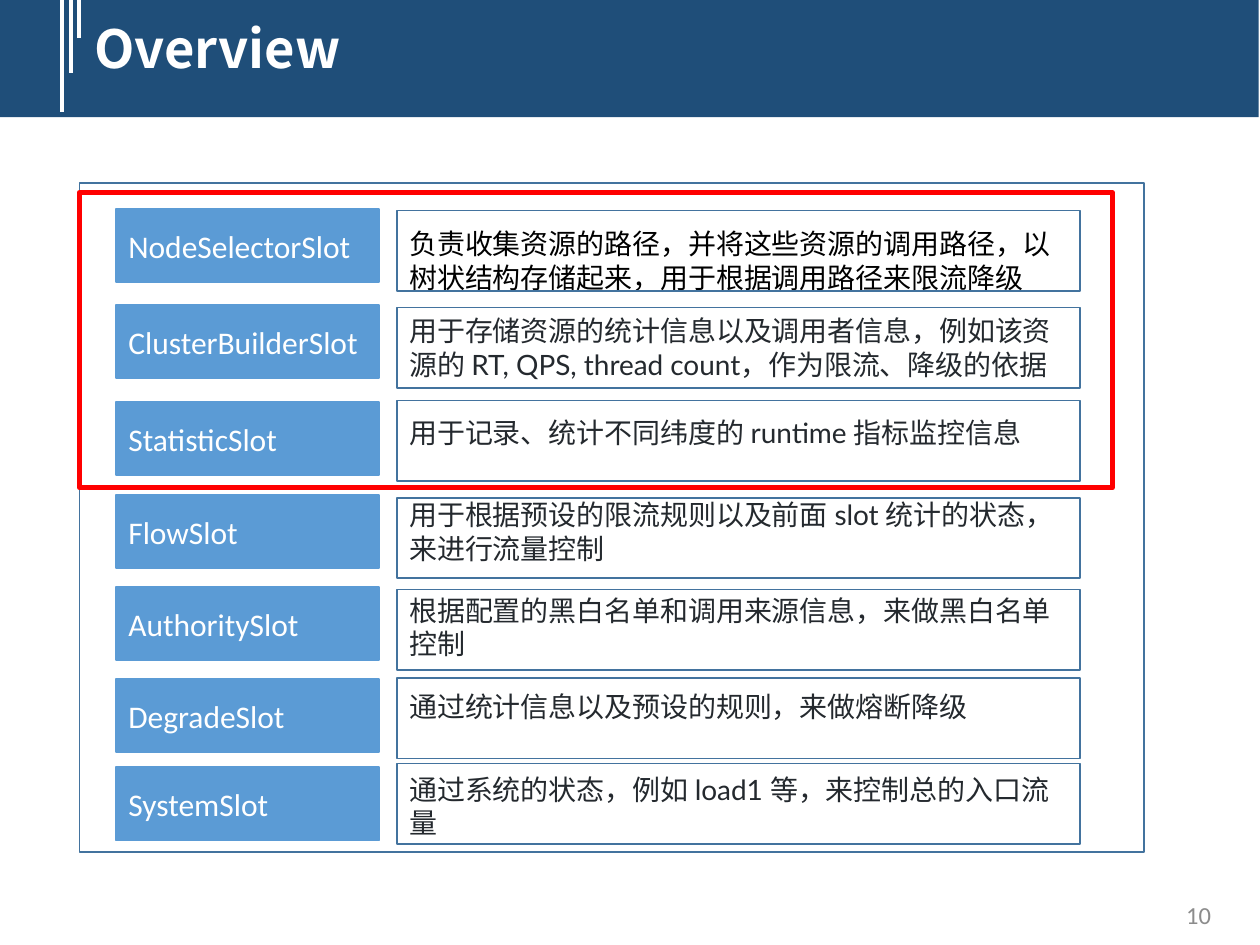
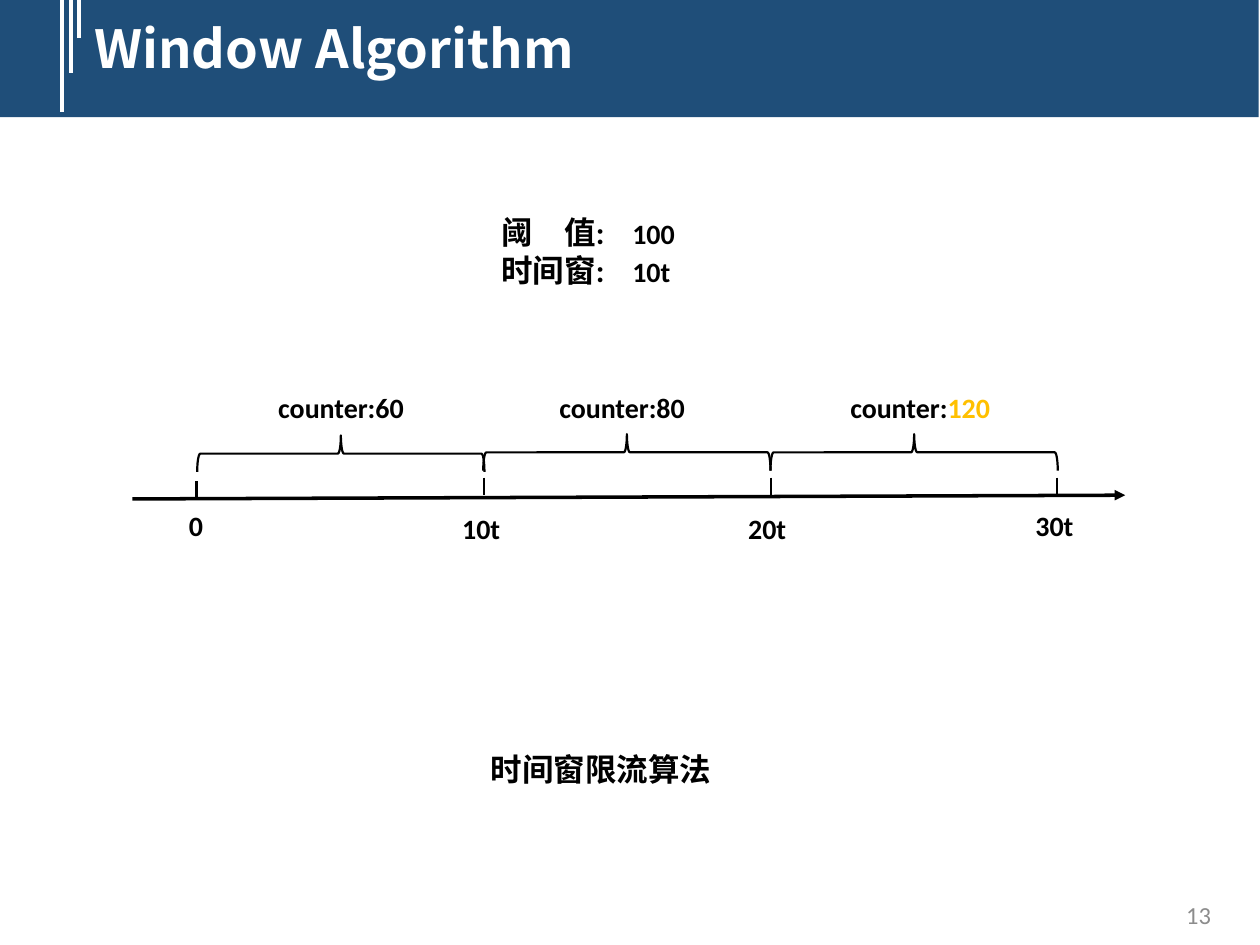
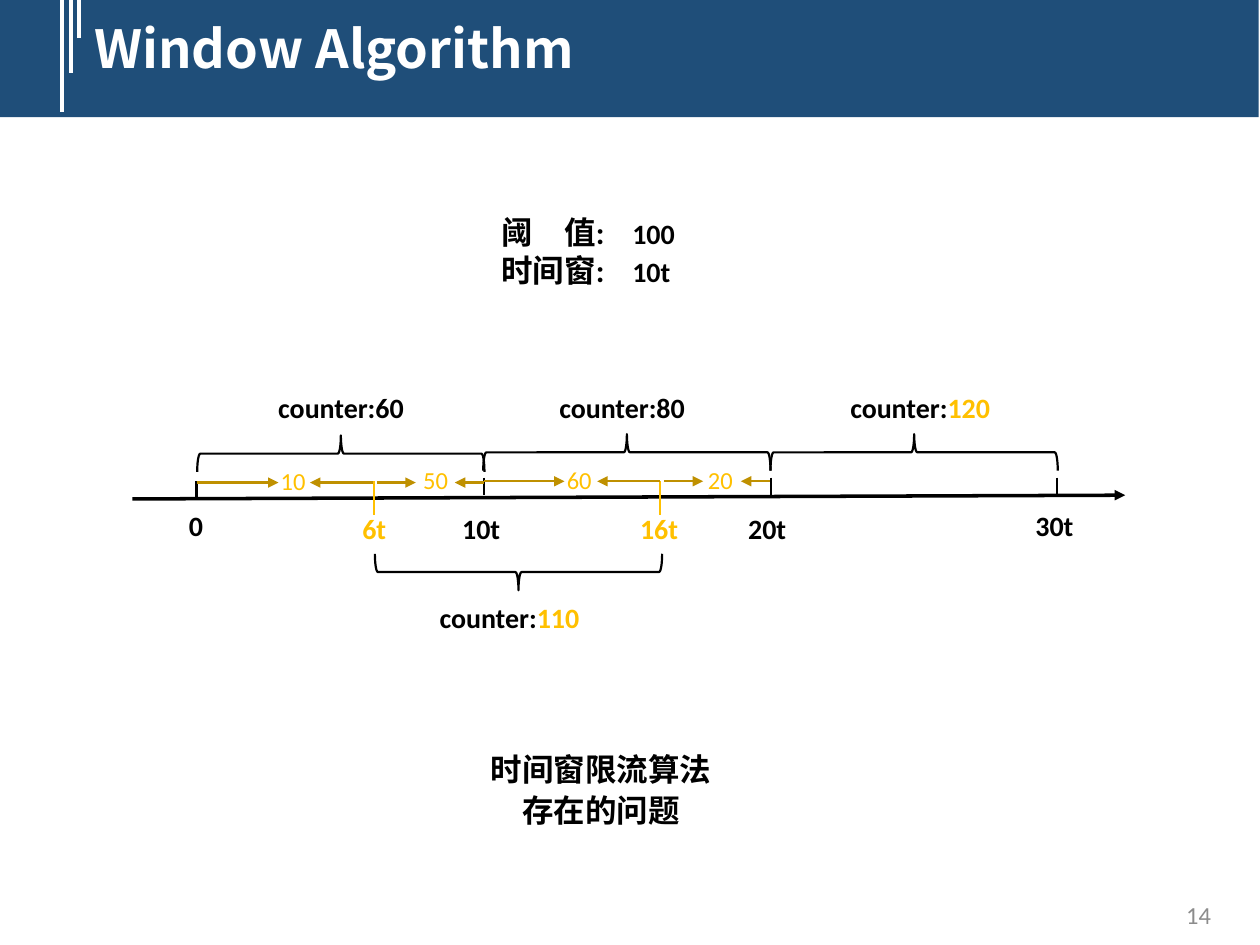
import dataclasses
import typing

import lxml.etree
import pptx
import pptx.dml.color
import pptx.enum.shapes
import pptx.enum.text
import pptx.oxml.ns
import pptx.util

EMU_PER_PX = 9144  # 100 px to the inch

Align = pptx.enum.text.PP_ALIGN
Anchor = pptx.enum.text.MSO_ANCHOR
Geometry = pptx.enum.shapes.MSO_SHAPE


@dataclasses.dataclass(frozen=True)
class Style:
    size: int
    color: str = "000000"
    bold: bool = False
    font: str = "Calibri"


@dataclasses.dataclass(frozen=True)
class Theme:
    east_asian: str = "Noto Sans CJK SC"
    navy: str = "1F4E79"
    blue: str = "5B9BD5"
    frame: str = "43739E"
    white: str = "FFFFFF"
    black: str = "000000"
    red: str = "FF0000"
    gold: str = "FFC000"
    dark_gold: str = "BF9000"
    thin: float = 1.25
    title: Style = Style(30, "FFFFFF", True, "Noto Sans CJK SC")
    number: Style = Style(14, "8C8C8C")
    slot: Style = Style(18, "FFFFFF")
    duty: Style = Style(16, "24292E", False, "Lato")
    first_duty: Style = Style(16)
    caption: Style = Style(18, bold=True)
    label: Style = Style(16, bold=True)
    alert: Style = Style(16, "FFC000", True)
    share: Style = Style(14, "FFC000")


THEME = Theme()


class Box(typing.NamedTuple):
    left: int
    top: int
    width: int
    height: int


class Point(typing.NamedTuple):
    x: int
    y: int


class Span(typing.NamedTuple):
    text: str
    style: Style


class Slot(typing.NamedTuple):
    name: str
    duty: str
    name_top: int
    duty_top: int
    frame_top: int
    duty_height: int = 64
    style: Style = THEME.duty


class Window(typing.NamedTuple):
    """A bracketed stretch of the time axis with its request count."""
    brace: Box
    label: Box
    count: str
    style: Style = THEME.label
    rotation: int = 90


class Tick(typing.NamedTuple):
    text: str
    x: int
    top: int
    label: Box


class Share(typing.NamedTuple):
    """Part of a window's count, with an arrow from each end of its stretch."""
    count: str
    label: Point
    y: int
    start: int
    start_tip: int
    end: int
    end_tip: int


SLOTS = (
    Slot("NodeSelectorSlot", "负责收集资源的路径，并将这些资源的调用路径，以树状结构存储起来，用于根据调用路径来限流降级",
         166, 175, 167, style=THEME.first_duty),
    Slot("ClusterBuilderSlot", "用于存储资源的统计信息以及调用者信息，例如该资源的 RT, QPS, thread count，作为限流、降级的依据",
         242, 244, 244),
    Slot("StatisticSlot", "用于记录、统计不同纬度的 runtime 指标监控信息", 319, 325, 318, 37),
    Slot("FlowSlot", "用于根据预设的限流规则以及前面 slot 统计的状态，来进行流量控制", 393, 390, 395),
    Slot("AuthoritySlot", "根据配置的黑白名单和调用来源信息，来做黑白名单控制", 466, 466, 468),
    Slot("DegradeSlot", "通过统计信息以及预设的规则，来做熔断降级", 539, 542, 538, 37),
    Slot("SystemSlot", "通过系统的状态，例如 load1 等，来控制总的入口流量", 609, 608, 606),
)

WINDOWS = (
    Window(Box(256, 246, 29, 228), Box(211, 305, 128, 37), "60"),
    Window(Box(483, 245, 29, 228), Box(434, 305, 128, 37), "80"),
    Window(Box(711, 245, 29, 228), Box(665, 305, 140, 37), "120", THEME.alert),
)
SLIDING_WINDOW = Window(Box(397, 340, 29, 228), Box(339, 472, 140, 37), "110", THEME.alert, 270)

TICKS = (
    Tick("0", 156, 382, Box(140, 399, 43, 37)),
    Tick("10t", 384, 379, Box(357, 401, 54, 37)),
    Tick("20t", 612, 379, Box(584, 401, 54, 37)),
    Tick("30t", 839, 379, Box(812, 399, 54, 37)),
)
SLIDING_TICKS = (
    Tick("6t", 297, 382, Box(271, 401, 52, 37)),
    Tick("16t", 524, 382, Box(497, 401, 52, 37)),
)

SHARES = (
    Share("10", Point(213, 365), 383, 156, 221, 296, 246),
    Share("50", Point(326, 364), 383, 299, 330, 384, 361),
    Share("60", Point(440, 364), 382, 384, 448, 524, 474),
    Share("20", Point(552, 364), 382, 527, 558, 611, 588),
)


def px(length: int) -> pptx.util.Emu:
    return pptx.util.Emu(length * EMU_PER_PX)


def rgb(color: str) -> pptx.dml.color.RGBColor:
    return pptx.dml.color.RGBColor.from_string(color)


def write(frame, lines: typing.Sequence[typing.Sequence[Span]], align=Align.LEFT,
          anchor=Anchor.TOP, grow: bool = True) -> None:
    """Fill a text frame with one paragraph per line of spans."""
    frame.word_wrap = True
    frame.vertical_anchor = anchor
    if grow:
        frame.auto_size = pptx.enum.text.MSO_AUTO_SIZE.SHAPE_TO_FIT_TEXT
    for index, spans in enumerate(lines):
        paragraph = frame.add_paragraph() if index else frame.paragraphs[0]
        paragraph.alignment = align
        paragraph.text = spans[0].text
        for span in spans[1:]:
            paragraph.add_run().text = span.text
        for run, span in zip(paragraph.runs, spans):
            run.font.name = span.style.font
            run.font.size = pptx.util.Pt(span.style.size)
            run.font.bold = span.style.bold
            run.font.color.rgb = rgb(span.style.color)
            east_asian = lxml.etree.SubElement(
                run.font._element, pptx.oxml.ns.qn("a:ea"))
            east_asian.set("typeface", THEME.east_asian)


def add_text(slide, box: Box, *spans: Span, align=Align.LEFT):
    text = slide.shapes.add_textbox(*map(px, box))
    write(text.text_frame, [spans], align)
    return text


def add_outline(slide, geometry, box: Box, color: str, width: float = 1, fill: str = ""):
    """Add a preset shape with a line, hollow unless a fill is given."""
    shape = slide.shapes.add_shape(geometry, *map(px, box))
    shape.shadow.inherit = False
    if fill:
        shape.fill.solid()
        shape.fill.fore_color.rgb = rgb(fill)
    else:
        shape.fill.background()
    shape.line.color.rgb = rgb(color)
    shape.line.width = pptx.util.Pt(width)
    return shape


def add_band(slide, box: Box):
    band = add_outline(slide, Geometry.RECTANGLE, box, THEME.navy, fill=THEME.navy)
    band.line.fill.background()
    return band


def add_line(slide, start: Point, end: Point, color: str, width: float = THEME.thin,
             arrow: bool = False) -> None:
    line = slide.shapes.add_connector(
        pptx.enum.shapes.MSO_CONNECTOR.STRAIGHT, *map(px, (*start, *end)))
    line.line.color.rgb = rgb(color)
    line.line.width = pptx.util.Pt(width)
    if arrow:
        tip = lxml.etree.SubElement(line.line._get_or_add_ln(), pptx.oxml.ns.qn("a:tailEnd"))
        tip.set("type", "triangle")
    lxml.etree.SubElement(line._element.spPr, pptx.oxml.ns.qn("a:effectLst"))


def add_page(deck, title: str, number: int):
    """Add a blank slide with the title band, its three stripes and the page number."""
    slide = deck.slides.add_slide(deck.slide_layouts[6])
    page_number = slide.shapes.add_textbox(*map(px, Box(814, 715, 157, 22)))
    write(page_number.text_frame, [[Span(str(number), THEME.number)]],
          Align.RIGHT, Anchor.MIDDLE, grow=False)
    add_band(slide, Box(-1, -1, 1000, 94))
    for x, top, bottom in ((49, -3, 89), (56, -2, 58), (63, -3, 30)):
        add_line(slide, Point(x, top), Point(x, bottom), THEME.white, 2.25)
    heading = add_band(slide, Box(65, 8, 912, 60))
    write(heading.text_frame, [[Span(title, THEME.title)]])
    return slide


def add_slot(slide, slot: Slot) -> None:
    chip = add_outline(slide, Geometry.RECTANGLE, Box(92, slot.name_top, 209, 58),
                       THEME.blue, fill=THEME.blue)
    write(chip.text_frame, [[Span(slot.name, THEME.slot)]], anchor=Anchor.MIDDLE, grow=False)
    add_text(slide, Box(315, slot.duty_top, 542, slot.duty_height), Span(slot.duty, slot.style))
    add_outline(slide, Geometry.RECTANGLE, Box(315, slot.frame_top, 542, 64), THEME.frame)


def add_window(slide, window: Window) -> None:
    brace = add_outline(slide, Geometry.LEFT_BRACE, window.brace, THEME.black, THEME.thin)
    brace.rotation = window.rotation
    add_text(slide, window.label, Span("counter:", THEME.label), Span(window.count, window.style))


def add_tick(slide, tick: Tick, length: int, style: Style, align=Align.LEFT) -> None:
    add_line(slide, Point(tick.x, tick.top), Point(tick.x, tick.top + length), style.color)
    add_text(slide, tick.label, Span(tick.text, style), align=align)


def add_share(slide, share: Share) -> None:
    for tail, tip in ((share.start, share.start_tip), (share.end, share.end_tip)):
        add_line(slide, Point(tail, share.y), Point(tip, share.y), THEME.dark_gold, arrow=True)
    add_text(slide, Box(*share.label, 40, 34), Span(share.count, THEME.share))


def add_settings(slide) -> None:
    """Add the threshold and window length, their values lined up on a tab stop."""
    settings = slide.shapes.add_textbox(*map(px, Box(388, 164, 178, 71)))
    write(settings.text_frame, [
        [Span("阈　值:\t", THEME.caption), Span("100", THEME.label)],
        [Span("时间窗:\t", THEME.caption), Span("10t", THEME.label)],
    ])
    for paragraph in settings.text_frame.paragraphs:
        stops = lxml.etree.SubElement(
            paragraph._p.get_or_add_pPr(), pptx.oxml.ns.qn("a:tabLst"))
        stop = lxml.etree.SubElement(stops, pptx.oxml.ns.qn("a:tab"))
        stop.set("pos", str(px(104)))
        stop.set("algn", "l")


def add_caption(slide, text: str, top: int) -> None:
    add_text(slide, Box(36, top, 882, 40), Span(text, THEME.caption), align=Align.CENTER)


def build_overview(deck) -> None:
    slide = add_page(deck, "Overview", 10)
    add_outline(slide, Geometry.RECTANGLE, Box(63, 145, 845, 531), THEME.frame)
    for slot in SLOTS:
        add_slot(slide, slot)
    add_outline(slide, Geometry.RECTANGLE, Box(63, 153, 820, 234), THEME.red, 3)


def build_window_algorithm(deck, number: int):
    slide = add_page(deck, "Window Algorithm", number)
    add_caption(slide, "时间窗限流算法", 590)
    add_line(slide, Point(105, 396), Point(893, 393), THEME.black, 2, arrow=True)
    for window in WINDOWS:
        add_window(slide, window)
    add_settings(slide)
    for tick in TICKS:
        add_tick(slide, tick, 14, THEME.label)
    return slide


def build_window_problem(deck) -> None:
    slide = build_window_algorithm(deck, 14)
    for tick in SLIDING_TICKS:
        add_tick(slide, tick, 27, THEME.alert, Align.CENTER)
    add_window(slide, SLIDING_WINDOW)
    for share in SHARES:
        add_share(slide, share)
    add_caption(slide, "存在的问题", 623)


def main() -> None:
    deck = pptx.Presentation()
    deck.slide_width, deck.slide_height = px(1000), px(750)
    build_overview(deck)
    build_window_algorithm(deck, 13)
    build_window_problem(deck)
    deck.save("out.pptx")


if __name__ == "__main__":
    main()
